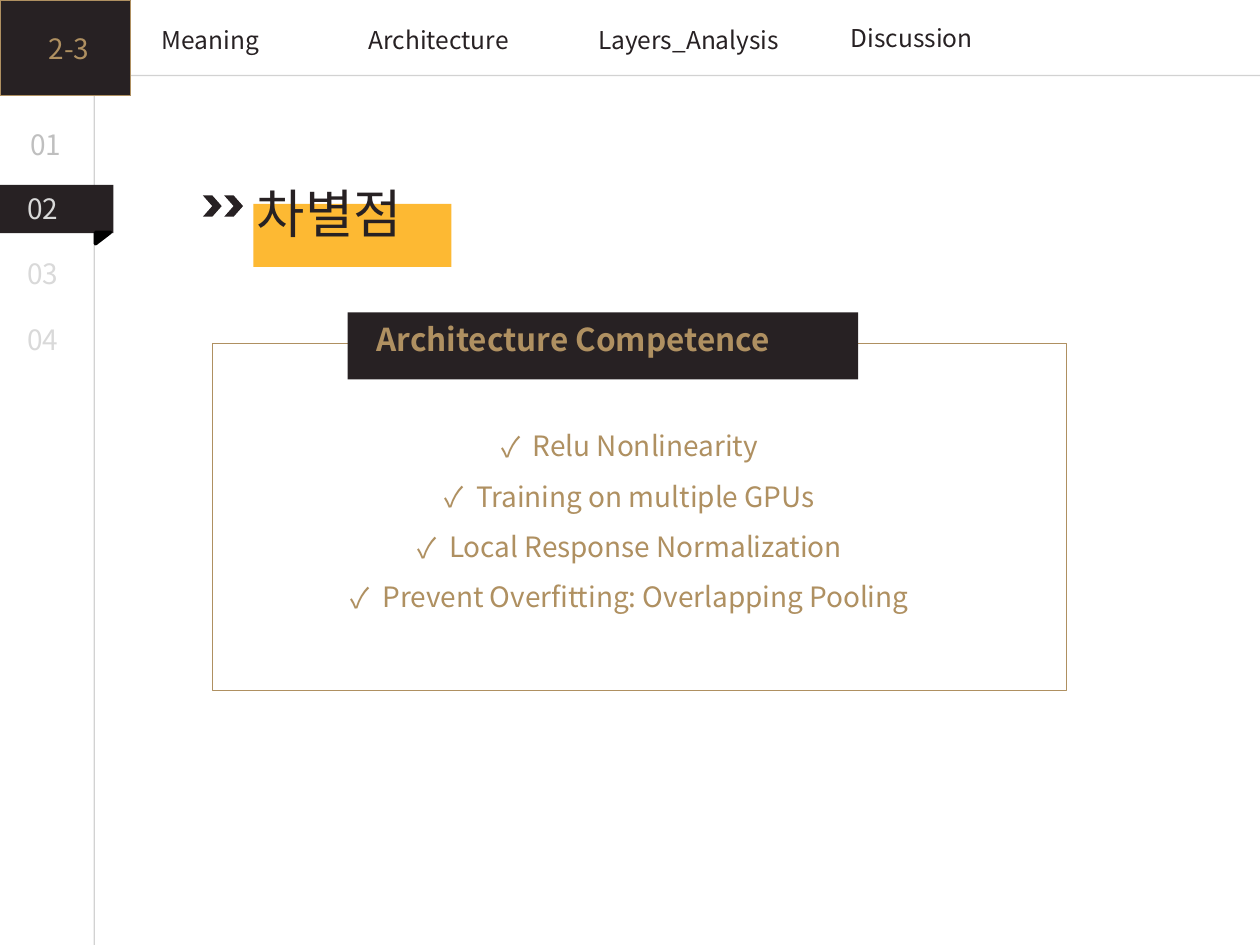
"""Build the "Architecture Competence" slide with its section navigation."""
from lxml import etree
from pptx import Presentation
from pptx.dml.color import RGBColor
from pptx.enum.shapes import MSO_CONNECTOR, MSO_SHAPE
from pptx.enum.text import MSO_AUTO_SIZE, PP_ALIGN
from pptx.oxml.ns import qn
from pptx.util import Cm, Pt

RECTANGLE = MSO_SHAPE.RECTANGLE
CHEVRON = MSO_SHAPE.CHEVRON
TRIANGLE = MSO_SHAPE.RIGHT_TRIANGLE
LEFT, CENTER = PP_ALIGN.LEFT, PP_ALIGN.CENTER
FONT = "Noto Sans CJK KR"
COLORS = {
    "dark": "272123", "gold": "AF9061", "amber": "FDA800", "black": "000000",
    "rule": "A6A6A6", "muted": "BFBFBF", "pale": "D9D9D9",
}


def add_block(kind, box, fill=None, line=None, width=0.5):
    shape = slide.shapes.add_shape(kind, *map(Cm, box))
    shape.shadow.inherit = False
    for target, color in ((shape.fill, fill), (shape.line.fill, line)):
        if color:
            target.solid()
            target.fore_color.rgb = RGBColor.from_string(COLORS[color])
        else:
            target.background()
    if line:
        shape.line.width = Pt(width)
    return shape


def add_text(lines, box, size, color, align=LEFT, bold=False):
    frame = slide.shapes.add_textbox(*map(Cm, box)).text_frame
    frame.word_wrap = True
    frame.auto_size = MSO_AUTO_SIZE.SHAPE_TO_FIT_TEXT
    frame.text = "\n".join(lines)
    for paragraph in frame.paragraphs:
        paragraph.alignment = align
        run = paragraph.runs[0]
        for name, value in {"name": FONT, "size": Pt(size), "bold": bold}.items():
            setattr(run.font, name, value)
        run.font.color.rgb = RGBColor.from_string(COLORS[color])
        etree.SubElement(run.font._element, qn("a:ea"), typeface=FONT)
    return frame


presentation = Presentation()
presentation.slide_width, presentation.slide_height = Cm(25.4), Cm(19.05)
slide = presentation.slides.add_slide(presentation.slide_layouts[6])

for ends in ((1.9, 0, 1.9, 19.05), (1.93, 1.52, 25.4, 1.52)):
    rule = slide.shapes.add_connector(MSO_CONNECTOR.STRAIGHT, *map(Cm, ends))
    rule.line.width = Pt(0.75)
    rule.line.color.rgb = RGBColor.from_string(COLORS["rule"])
    color_element = rule._element.spPr.find(".//" + qn("a:srgbClr"))
    etree.SubElement(color_element, qn("a:alpha"), val="50000")
    etree.SubElement(rule._element.spPr, qn("a:effectLst"))

add_block(RECTANGLE, (0, 3.73, 2.29, 0.97), "dark")
fold = add_block(TRIANGLE, (1.96, 4.65, 0.23, 0.3), "black", "black", 2)
fold.rotation = 90

add_text(["01"], (0.36, 2.44, 1.5, 0.94), 16, "muted")
for index, number in enumerate(("02", "03", "04")):
    add_text([number], (0.3, 3.73 + 1.32 * index, 1.24, 0.94), 16, "pale")

for label, left, top, width in (
    ("Meaning", 2.9, 0.38, 2.69),
    ("Architecture", 6.99, 0.38, 3.71),
    ("Layers_Analysis", 11.66, 0.38, 4.45),
    ("Discussion", 16.46, 0.33, 3.84),
):
    add_text([label], (left, top, width, 0.84), 14, "dark", CENTER)

add_block(RECTANGLE, (4.29, 6.93, 17.22, 6.99), line="gold")
add_block(RECTANGLE, (7.01, 6.3, 10.29, 1.35), "dark")
add_text(["Architecture Competence"], (7.34, 6.32, 9.58, 1.02), 18, "gold", bold=True)

features = add_text(
    [
        "Relu Nonlinearity",
        "Training on multiple GPUs",
        "Local Response Normalization",
        "Prevent Overfitting: Overlapping Pooling",
    ],
    (4.34, 8.18, 16.71, 4.32), 16, "gold", CENTER,
)
for paragraph in features.paragraphs:
    paragraph.line_spacing = 1.5
    properties = paragraph._p.get_or_add_pPr()
    properties.set("marL", str(Cm(0.64)))
    properties.set("indent", str(Cm(-0.64)))
    bullet_color = etree.SubElement(properties, qn("a:buClr"))
    etree.SubElement(bullet_color, qn("a:srgbClr"), val=COLORS["gold"])
    etree.SubElement(properties, qn("a:buFont"), typeface=FONT)
    etree.SubElement(properties, qn("a:buChar"), char="✓")

highlight = add_block(RECTANGLE, (5.11, 4.11, 3.99, 1.27), "amber")
color_element = highlight._element.spPr.find(".//" + qn("a:srgbClr"))
etree.SubElement(color_element, qn("a:alpha"), val="80000")
add_text(["차별점"], (4.93, 3.53, 7.01, 1.52), 30, "dark")
for left in (4.09, 4.52):
    add_block(CHEVRON, (left, 3.94, 0.38, 0.43), "dark")

add_block(RECTANGLE, (0, 0, 2.64, 1.93), "dark", "gold")
add_text(["2-3"], (0.71, 0.51, 1.37, 0.94), 16, "gold", CENTER)

presentation.save("out.pptx")
